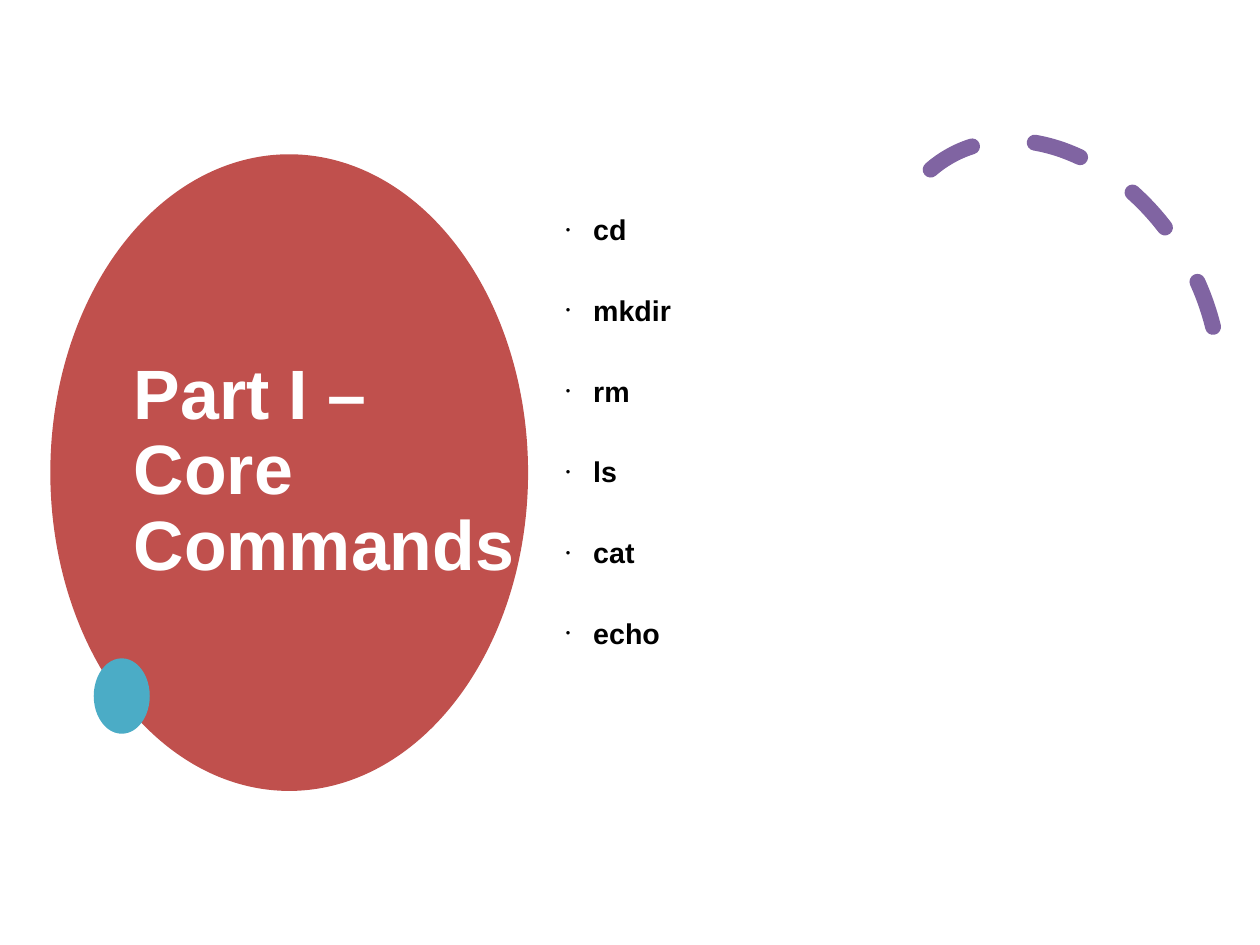
from lxml.etree import SubElement
from pptx import Presentation
from pptx.dml.color import RGBColor
from pptx.enum.dml import MSO_LINE
from pptx.enum.shapes import MSO_SHAPE as Preset
from pptx.enum.text import MSO_ANCHOR as Anchor, MSO_AUTO_SIZE as AutoSize, PP_ALIGN as Align
from pptx.oxml.ns import qn
from pptx.util import Cm, Inches, Pt

TITLE = "Part I – Core Commands"
COMMANDS = ["cd", "mkdir", "rm", "ls", "cat", "echo"]

FONT = "Arial"
WHITE, BLACK = "FFFFFF", "000000"
RED, TEAL, PURPLE = "C0504D", "4BACC6", "8064A2"

# left, top, width, height in inches
TITLE_AREA = (1.07, 1.68, 3.55, 4.9)
LIST_AREA = (4.85, 1.84, 5.01, 4.74)
LARGE_OVAL = (0.44, 1.35, 4.18, 5.57)
SMALL_OVAL = (0.82, 5.76, 0.49, 0.66)
ARC_AREA = (7.85, 1.13, 2.7, 3.6)


def color(hex_text):
    """Turn a hex string into a colour."""
    return RGBColor.from_string(hex_text)


def place(box, area):
    """Move and size a placeholder."""
    box.left, box.top, box.width, box.height = map(Inches, area)


def add_oval(page, area, fill):
    """Add a filled oval without an outline."""
    oval = page.shapes.add_shape(Preset.OVAL, *map(Inches, area))
    oval.shadow.inherit = False
    oval.fill.solid()
    oval.fill.fore_color.rgb = color(fill)
    oval.line.fill.background()
    return oval


def add_dashed_arc(page):
    """Add the tilted arc with thick round dashes."""
    arc = page.shapes.add_shape(Preset.ARC, *map(Inches, ARC_AREA))
    arc.shadow.inherit = False
    arc.rotation = 330.2
    arc.adjustments[0], arc.adjustments[1] = 158.17, 17.81
    arc.fill.background()
    arc.line.color.rgb = color(PURPLE)
    arc.line.width = Pt(10)
    arc.line.dash_style = MSO_LINE.DASH
    arc.line._get_or_add_ln().set("cap", "rnd")


def set_frame(box, anchor):
    """Fix the wrapping, fitting and anchor of a text frame."""
    frame = box.text_frame
    frame.word_wrap = True
    frame.auto_size = AutoSize.NONE
    frame.vertical_anchor = anchor
    return frame


def write(para, text, size, hex_text, gap):
    """Write one bold run and set the paragraph spacing."""
    para.alignment = Align.LEFT
    para.line_spacing = 0.9
    para.space_before, para.space_after = Pt(0), Pt(gap)
    span = para.add_run()
    span.text = text
    span.font.name, span.font.size, span.font.bold = FONT, Pt(size), True
    span.font.color.rgb = color(hex_text)


def add_bullet(para):
    """Give a paragraph a small black bullet and a hanging indent."""
    props = para._p.get_or_add_pPr()
    props.set("marL", str(Inches(0.24)))
    props.set("indent", str(Inches(-0.25)))
    SubElement(SubElement(props, qn("a:buClr")), qn("a:srgbClr"), val=BLACK)
    SubElement(props, qn("a:buSzPct"), val="45000")
    SubElement(props, qn("a:buFont"), typeface=FONT)
    SubElement(props, qn("a:buChar"), char="•")


deck = Presentation()
deck.slide_width, deck.slide_height = Cm(28), Cm(21)
page = deck.slides.add_slide(deck.slide_layouts[1])
title, body = page.shapes.title, page.placeholders[1]

large_oval = add_oval(page, LARGE_OVAL, RED)
title.element.addprevious(large_oval.element)
add_dashed_arc(page)
add_oval(page, SMALL_OVAL, TEAL)

place(title, TITLE_AREA)
write(set_frame(title, Anchor.MIDDLE).paragraphs[0], TITLE, 44, WHITE, 6)

place(body, LIST_AREA)
frame = set_frame(body, Anchor.TOP)
for index, command in enumerate(COMMANDS):
    para = frame.add_paragraph() if index else frame.paragraphs[0]
    write(para, command, 18, BLACK, 31.4)
    add_bullet(para)

deck.save("out.pptx")
